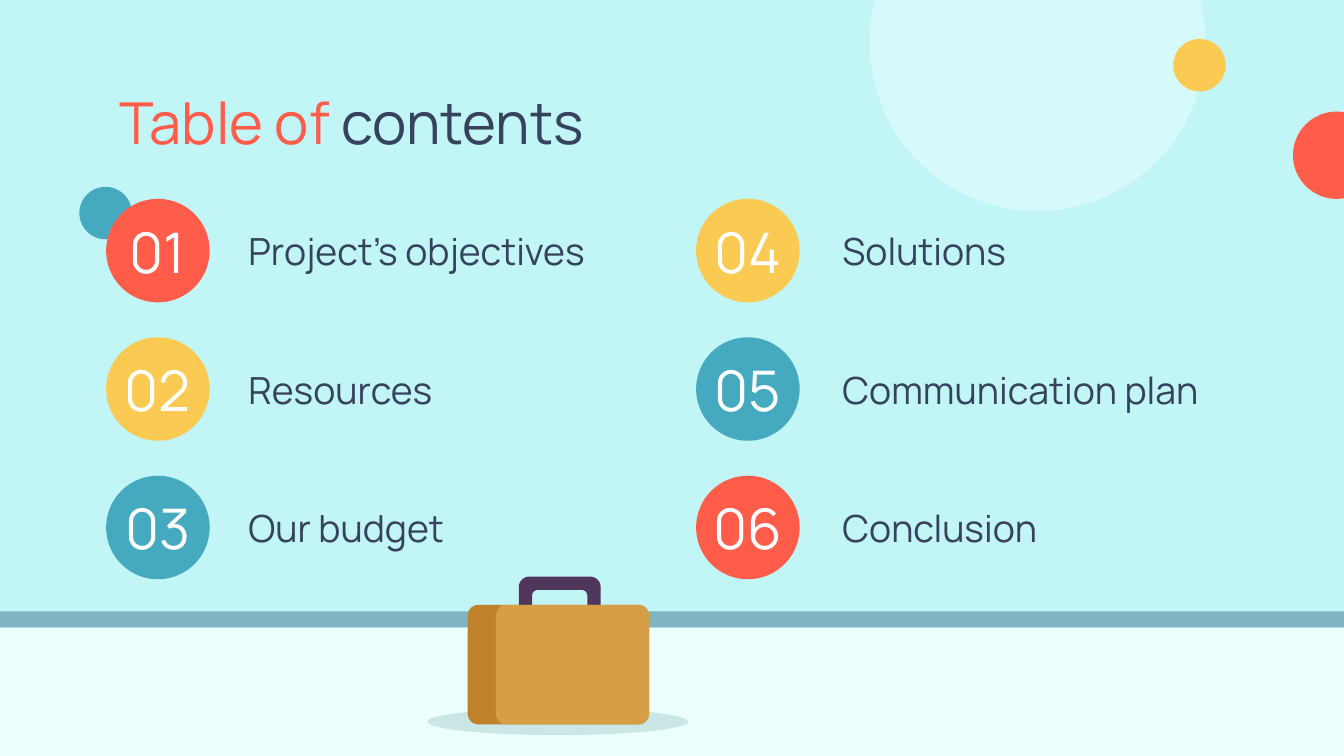
from dataclasses import dataclass
from math import cos, radians, sin

from lxml import etree
from pptx import Presentation
from pptx.dml.color import RGBColor
from pptx.enum.shapes import MSO_SHAPE as Shape
from pptx.enum.text import MSO_ANCHOR as Anchor, PP_ALIGN as Align
from pptx.oxml.ns import qn
from pptx.util import Inches, Pt


@dataclass(frozen=True)
class Theme:
    font: str = "Manrope"
    title_size: int = 31
    number_size: int = 30
    topic_size: int = 20
    wall: str = "C2F5F5"
    floor: str = "EBFFFD"
    skirting: str = "80B5C2"
    red: str = "FF5C4A"
    blue: str = "45AAC0"
    yellow: str = "FACA52"
    ink: str = "36435E"
    white: str = "FFFFFF"
    shadow: str = "CAE6E5"
    handle: str = "51365C"
    case_side: str = "BF812A"
    case_front: str = "D69F47"


@dataclass(frozen=True)
class Box:
    x: float
    y: float
    w: float
    h: float


@dataclass(frozen=True)
class Topic:
    name: str
    color: str


@dataclass(frozen=True)
class Column:
    badge_x: float
    text_x: float
    topics: tuple


THEME = Theme()
COLUMNS = (
    Column(0.79, 1.75, (
        Topic("Project’s objectives", THEME.red),
        Topic("Resources", THEME.yellow),
        Topic("Our budget", THEME.blue),
    )),
    Column(5.18, 6.17, (
        Topic("Solutions", THEME.yellow),
        Topic("Communication plan", THEME.blue),
        Topic("Conclusion", THEME.red),
    )),
)
FIRST_ROW, ROW_STEP, BADGE = 1.48, 1.03, 0.77
NUMBER_H = 0.52
TEXT_W, TEXT_H = 3.24, 0.58


def paint(s, color: str) -> None:
    s.fill.solid()
    s.fill.fore_color.rgb = RGBColor.from_string(color)
    s.line.fill.background()
    s.shadow.inherit = False


def add_shape(slide, kind, box: Box, color: str, radius: float = 0):
    s = slide.shapes.add_shape(
        kind, Inches(box.x), Inches(box.y), Inches(box.w), Inches(box.h))
    paint(s, color)
    if radius:
        s.adjustments[0] = radius / min(box.w, box.h)
    return s


def add_circle(slide, x: float, y: float, size: float, color: str):
    return add_shape(slide, Shape.OVAL, Box(x, y, size, size), color)


def set_alpha(s, percent: int) -> None:
    color = s.fill._xPr.find(qn("a:solidFill"))[0]
    etree.SubElement(color, qn("a:alpha"), val=str(percent * 1000))


def add_text(slide, box: Box, size: int, *parts: tuple,
             align: Align = Align.LEFT) -> None:
    s = slide.shapes.add_textbox(
        Inches(box.x), Inches(box.y), Inches(box.w), Inches(box.h))
    tf = s.text_frame
    tf.word_wrap = True
    tf.vertical_anchor = Anchor.MIDDLE
    tf.margin_left = tf.margin_right = Inches(0.1)
    tf.margin_top = tf.margin_bottom = Inches(0.1)
    p = tf.paragraphs[0]
    p.alignment = align
    for text, color in parts:
        r = p.add_run()
        r.text = text
        r.font.name = THEME.font
        r.font.size = Pt(size)
        r.font.color.rgb = RGBColor.from_string(color)


def arch(box: Box, radius: float) -> list:
    """Points of a round-topped arch, from bottom left to bottom right."""
    right, bottom = box.x + box.w, box.y + box.h
    points = [(box.x, bottom)]
    for cx, start in ((box.x + radius, 180), (right - radius, 270)):
        for step in range(0, 91, 10):
            angle = radians(start + step)
            points.append((cx + radius * cos(angle),
                           box.y + radius + radius * sin(angle)))
    return points + [(right, bottom)]


def add_handle(slide) -> None:
    outer = arch(Box(3.86, 4.29, 0.61, 0.21), 0.08)
    inner = arch(Box(3.96, 4.39, 0.41, 0.11), 0.04)
    points = [(Inches(x), Inches(y)) for x, y in outer + inner[::-1]]
    builder = slide.shapes.build_freeform(*points[0])
    builder.add_line_segments(points[1:], close=True)
    paint(builder.convert_to_shape(), THEME.handle)


def add_scenery(slide) -> None:
    add_circle(slide, 9.62, 0.83, 0.65, THEME.red)
    add_circle(slide, 0.59, 1.39, 0.39, THEME.blue)
    set_alpha(add_circle(slide, 6.47, -0.93, 2.5, THEME.floor), 50)
    add_shape(slide, Shape.RECTANGLE, Box(0, 4.55, 10.06, 0.12), THEME.skirting)
    add_shape(slide, Shape.RECTANGLE, Box(0, 4.67, 10.06, 0.96), THEME.floor)
    add_circle(slide, 8.73, 0.29, 0.39, THEME.yellow)


def add_suitcase(slide) -> None:
    add_shape(slide, Shape.OVAL, Box(3.18, 5.27, 1.94, 0.2), THEME.shadow)
    add_handle(slide)
    add_shape(slide, Shape.ROUNDED_RECTANGLE, Box(3.48, 4.5, 1.35, 0.89),
              THEME.case_side, 0.08)
    # The front covers the right corners of the side
    add_shape(slide, Shape.ROUNDED_RECTANGLE, Box(3.69, 4.5, 1.14, 0.89),
              THEME.case_front, 0.08)


def add_contents(slide) -> None:
    number = 0
    for column in COLUMNS:
        for row, topic in enumerate(column.topics):
            number += 1
            y = FIRST_ROW + row * ROW_STEP
            middle = y + BADGE / 2
            add_circle(slide, column.badge_x, y, BADGE, topic.color)
            add_text(slide, Box(column.badge_x, middle - NUMBER_H / 2, BADGE, NUMBER_H),
                     THEME.number_size, (f"{number:02d}", THEME.white),
                     align=Align.CENTER)
            add_text(slide, Box(column.text_x, middle - TEXT_H / 2, TEXT_W, TEXT_H),
                     THEME.topic_size, (topic.name, THEME.ink))


def main() -> None:
    prs = Presentation()
    prs.slide_width = Inches(10)
    prs.slide_height = prs.slide_width * 9 // 16
    slide = prs.slides.add_slide(prs.slide_layouts[6])
    slide.background.fill.solid()
    slide.background.fill.fore_color.rgb = RGBColor.from_string(THEME.wall)

    # Wall, floor and bubbles
    add_scenery(slide)
    # Numbered topics
    add_contents(slide)
    # Title
    add_text(slide, Box(0.79, 0.59, 8.43, 0.62), THEME.title_size,
             ("Table of ", THEME.red), ("contents", THEME.ink))
    # Suitcase on the floor
    add_suitcase(slide)

    prs.save("out.pptx")


if __name__ == "__main__":
    main()
